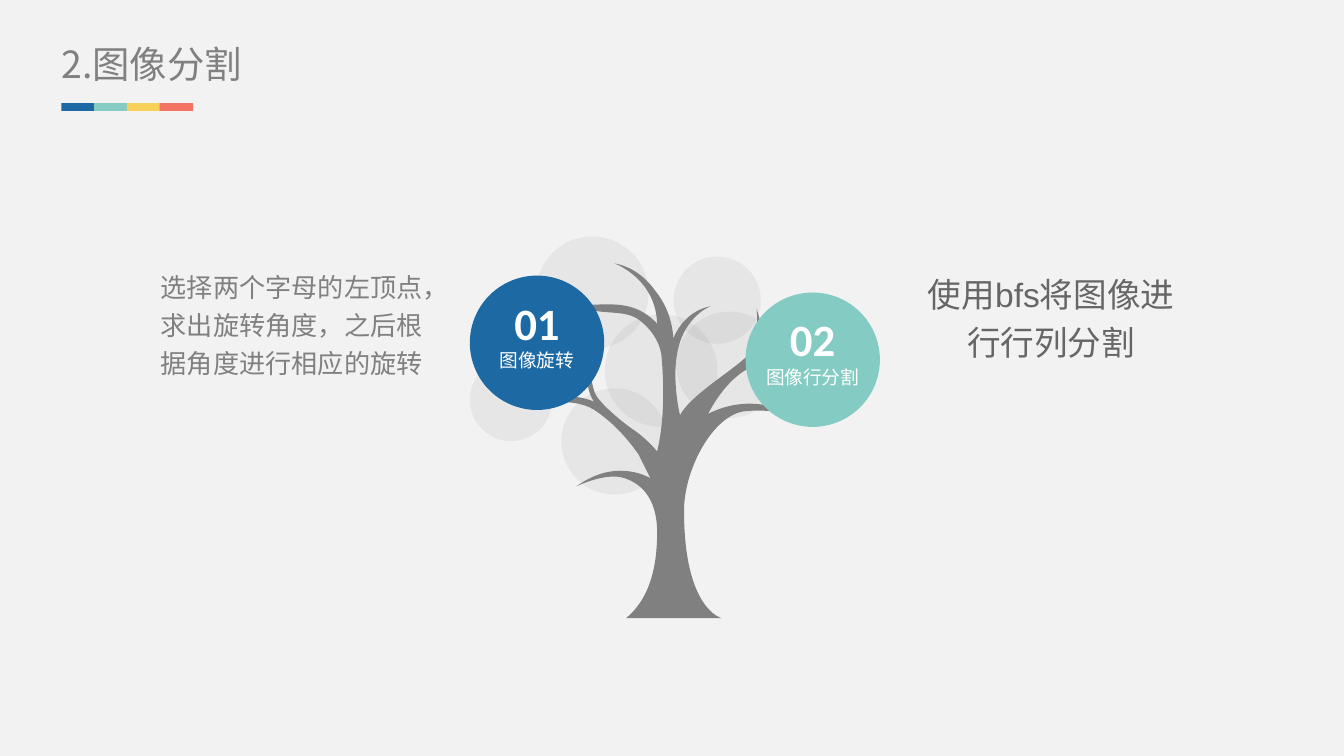
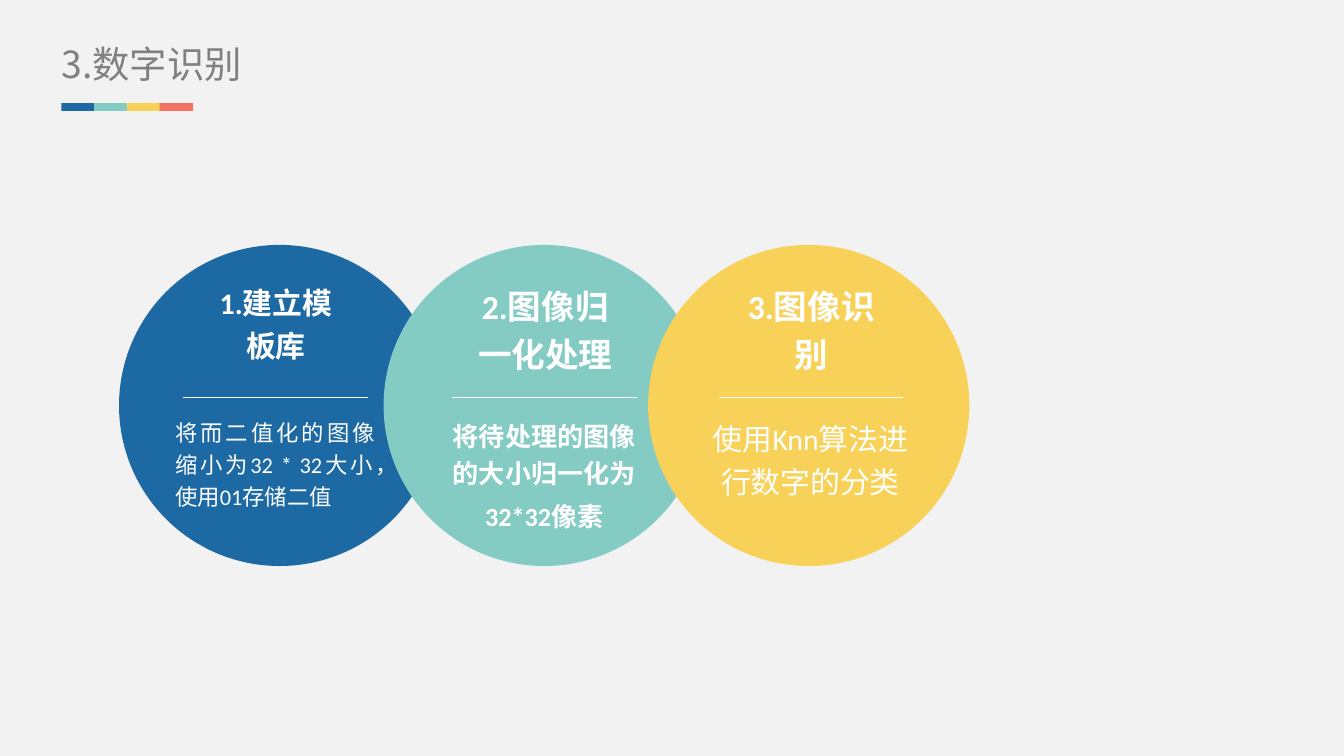
from lxml.etree import SubElement
from pptx import Presentation
from pptx.dml.color import RGBColor
from pptx.enum.lang import MSO_LANGUAGE_ID as Language
from pptx.enum.shapes import MSO_CONNECTOR as Connector, MSO_SHAPE as Preset
from pptx.enum.text import MSO_ANCHOR as Anchor, MSO_AUTO_SIZE as AutoSize, PP_ALIGN as Align
from pptx.oxml.ns import qn
from pptx.util import Cm, Pt

BACKGROUND, GREY, DARK_GREY, WHITE = "F2F2F2", "808080", "666666", "FFFFFF"
BLUE, TEAL, YELLOW, RED = PALETTE = ("1D69A3", "84CBC3", "F8D158", "F57365")
LATIN_FONT, CHINESE_FONT = "Calibri", "Noto Sans CJK SC"
BODY_SPACING = {"line_spacing": 1.2, "space_before": Pt(3)}
CENTRED_BODY = {"alignment": Align.CENTER, **BODY_SPACING}
JUSTIFIED_BODY = {"alignment": Align.JUSTIFY, **BODY_SPACING}

CROWN_CIRCLES = [
    (10.13, 4.47, 2.13), (12.73, 4.85, 1.65), (11.43, 5.94, 2.13),
    (12.78, 5.89, 2.01), (10.61, 7.34, 2.01), (8.88, 6.78, 1.56),
]

TREE_UNIT = 2.54
TREE_START = (4.66, 4.6)
TREE_CURVES = [
    (5.44, 4.6, 5.37, 4.6, 5.37, 4.6), (5.37, 4.6, 5.09, 4.54, 5.09, 3.8),
    (5.09, 3.49, 5.31, 3.08, 5.55, 3.06), (5.78, 3.04, 5.92, 3.1, 5.92, 3.1),
    (5.92, 3.1, 5.63, 2.9, 5.27, 3.08), (5.27, 3.08, 5.36, 2.89, 5.51, 2.78),
    (5.67, 2.66, 5.89, 2.65, 5.95, 2.66), (5.95, 2.66, 5.77, 2.6, 5.58, 2.69),
    (5.58, 2.69, 5.73, 2.58, 5.63, 2.3), (5.63, 2.3, 5.66, 2.55, 5.56, 2.65),
    (5.45, 2.76, 5.14, 2.94, 5.06, 3.09), (5.06, 3.09, 4.99, 2.81, 5.05, 2.58),
    (5.1, 2.38, 5.25, 2.29, 5.29, 2.28), (5.29, 2.28, 5.1, 2.3, 5.01, 2.52),
    (5.01, 2.52, 5.01, 2.33, 4.88, 2.17), (4.76, 2, 4.62, 1.97, 4.57, 1.96),
    (4.57, 1.96, 4.88, 2.07, 4.89, 2.41), (4.89, 2.41, 4.81, 2.31, 4.67, 2.28),
    (4.54, 2.25, 4.41, 2.28, 4.34, 2.26), (4.27, 2.25, 4.2, 2.19, 4.18, 2.16),
    (4.18, 2.16, 4.22, 2.25, 4.37, 2.3), (4.5, 2.34, 4.64, 2.31, 4.74, 2.37),
    (4.84, 2.44, 4.9, 2.53, 4.92, 2.63), (4.93, 2.73, 4.96, 3.07, 4.89, 3.36),
    (4.89, 3.36, 4.81, 3.26, 4.7, 3.19), (4.59, 3.11, 4.48, 3.01, 4.44, 2.95),
    (4.4, 2.89, 4.39, 2.74, 4.39, 2.65), (4.39, 2.65, 4.33, 2.86, 4.42, 2.99),
    (4.42, 2.99, 4.22, 2.89, 3.99, 3.01), (3.99, 3.01, 4.26, 2.95, 4.42, 3.05),
    (4.59, 3.16, 4.7, 3.31, 4.75, 3.38), (4.79, 3.46, 4.84, 3.56, 4.84, 3.56),
    (4.84, 3.56, 4.59, 3.4, 4.29, 3.62), (4.29, 3.62, 4.47, 3.53, 4.61, 3.55),
    (4.76, 3.58, 4.89, 3.7, 4.89, 3.96), (4.89, 4.21, 4.84, 4.45, 4.66, 4.6),
]

STEP_PITCH = 5
STEPS = [
    (BLUE, 3.31, "1.建立模板库", 16,
     ["将而二值化的图像缩小为32 * 32大小，使用01存储二值"], 12, False, JUSTIFIED_BODY),
    (TEAL, 8.4, "2.图像归一化处理", 18,
     ["将待处理的图像的大小归一化为", "32*32像素"], 14, True, CENTRED_BODY),
    (YELLOW, 13.43, "3.图像识别", 18,
     ["使用Knn算法进行数字的分类"], 16, False, CENTRED_BODY),
]


def rgb(color):
    return RGBColor.from_string(color)


def set_attributes(target, values):
    for name, value in values.items():
        setattr(target, name, value)


def paint(shape, color, opacity=None):
    shape.shadow.inherit = False
    shape.fill.solid()
    shape.fill.fore_color.rgb = rgb(color)
    shape.line.fill.background()
    if opacity is not None:
        color_element = shape._element.spPr.find(qn("a:solidFill"))[0]
        SubElement(color_element, qn("a:alpha"), val=str(opacity * 1000))


def add_circle(slide, left, top, diameter, color, opacity=None):
    shape = slide.shapes.add_shape(
        Preset.OVAL, Cm(left), Cm(top), Cm(diameter), Cm(diameter))
    paint(shape, color, opacity)
    return shape


def clear_margins(frame):
    set_attributes(frame, {
        "margin_left": 0, "margin_right": 0, "margin_top": 0, "margin_bottom": 0,
        "word_wrap": True,
    })


def write_paragraph(paragraph, text, size, color, bold=False, font=LATIN_FONT, layout=None):
    set_attributes(paragraph, layout or {})
    run = paragraph.add_run()
    run.text = text
    set_attributes(run.font, {
        "size": Pt(size), "bold": bold, "name": font,
        "language_id": Language.SIMPLIFIED_CHINESE,
    })
    run.font.color.rgb = rgb(color)
    SubElement(run.font._element, qn("a:ea"), typeface=CHINESE_FONT)


def add_text(slide, box, texts, size, color, **style):
    frame = slide.shapes.add_textbox(*map(Cm, box)).text_frame
    clear_margins(frame)
    frame.auto_size = AutoSize.SHAPE_TO_FIT_TEXT
    for index, text in enumerate(texts):
        paragraph = frame.add_paragraph() if index else frame.paragraphs[0]
        write_paragraph(paragraph, text, size, color, **style)


def add_divider(slide, left, top, width):
    line = slide.shapes.add_connector(
        Connector.STRAIGHT, Cm(left), Cm(top), Cm(left + width), Cm(top))
    line.line.color.rgb = rgb(WHITE)
    line.line.width = Pt(0.5)
    SubElement(line._element.spPr, qn("a:effectLst"))


def add_title(slide, title):
    add_text(slide, (1.16, 0.78, 7.72, 0.86), [title], 20, GREY, font=CHINESE_FONT)
    group = slide.shapes.add_group_shape()
    for index, color in enumerate(PALETTE):
        bar = group.shapes.add_shape(
            Preset.RECTANGLE, Cm(1.16 + 0.62 * index), Cm(1.95), Cm(0.63), Cm(0.15))
        paint(bar, color)


def tree_point(x, y):
    return Cm(TREE_UNIT * x), Cm(TREE_UNIT * y)


def bend_segments(shape):
    segments = list(shape._element.iter(qn("a:lnTo")))
    for first in range(0, len(segments), 3):
        curve = segments[first]
        curve.tag = qn("a:cubicBezTo")
        for segment in segments[first + 1:first + 3]:
            curve.append(segment[0])
            segment.getparent().remove(segment)


def add_tree(slide):
    points = [tree_point(*curve[axis:axis + 2]) for curve in TREE_CURVES for axis in (0, 2, 4)]
    builder = slide.shapes.build_freeform(*tree_point(*TREE_START))
    builder.add_line_segments(points, close=True)
    tree = builder.convert_to_shape()
    bend_segments(tree)
    paint(tree, GREY)


def add_fruit(slide, left, top, color, number, label):
    frame = add_circle(slide, left, top, 2.54, color).text_frame
    clear_margins(frame)
    frame.vertical_anchor = Anchor.TOP
    centred = {"alignment": Align.CENTER}
    write_paragraph(frame.paragraphs[0], number, 24, WHITE, bold=True, layout=centred)
    write_paragraph(frame.add_paragraph(), label, 10, WHITE, layout=centred)


def add_step_text(slide, left, heading, heading_size, body, body_size, bold, layout):
    add_text(slide, (left, 7.82, 3.78, 1.8), body, body_size, WHITE, bold=bold, layout=layout)
    add_text(slide, (left + 0.61, 5.25, 2.59, 1.78), [heading], heading_size, WHITE,
             bold=True, layout=CENTRED_BODY)
    add_divider(slide, left + 0.15, 7.52, 3.49)


def add_slide(presentation):
    slide = presentation.slides.add_slide(presentation.slide_layouts[6])
    slide.background.fill.solid()
    slide.background.fill.fore_color.rgb = rgb(BACKGROUND)
    return slide


def build_segmentation(presentation):
    slide = add_slide(presentation)
    for left, top, diameter in CROWN_CIRCLES:
        add_circle(slide, left, top, diameter, GREY, opacity=10)
    add_tree(slide)
    add_fruit(slide, 8.88, 5.21, BLUE, "01", "图像旋转")
    add_fruit(slide, 14.09, 5.53, TEAL, "02", "图像行分割")
    add_text(slide, (17.3, 5.02, 5.13, 1.73), ["使用bfs将图像进行行列分割"], 18, DARK_GREY,
             font="Arial", layout=CENTRED_BODY)
    add_text(slide, (2.95, 5.02, 5.13, 2.11),
             ["选择两个字母的左顶点，求出旋转角度，之后根据角度进行相应的旋转"],
             14, GREY, layout=CENTRED_BODY)
    add_title(slide, "2.图像分割")


def build_recognition(presentation):
    slide = add_slide(presentation)
    for index, (color, *_) in enumerate(STEPS):
        add_circle(slide, 2.25 + STEP_PITCH * index, 4.63, 6.07, color)
    for _, *content in STEPS:
        add_step_text(slide, *content)
    add_title(slide, "3.数字识别")


def main():
    presentation = Presentation()
    presentation.slide_width = Cm(25.4)
    presentation.slide_height = Cm(14.29)
    build_segmentation(presentation)
    build_recognition(presentation)
    presentation.save("out.pptx")


if __name__ == "__main__":
    main()
